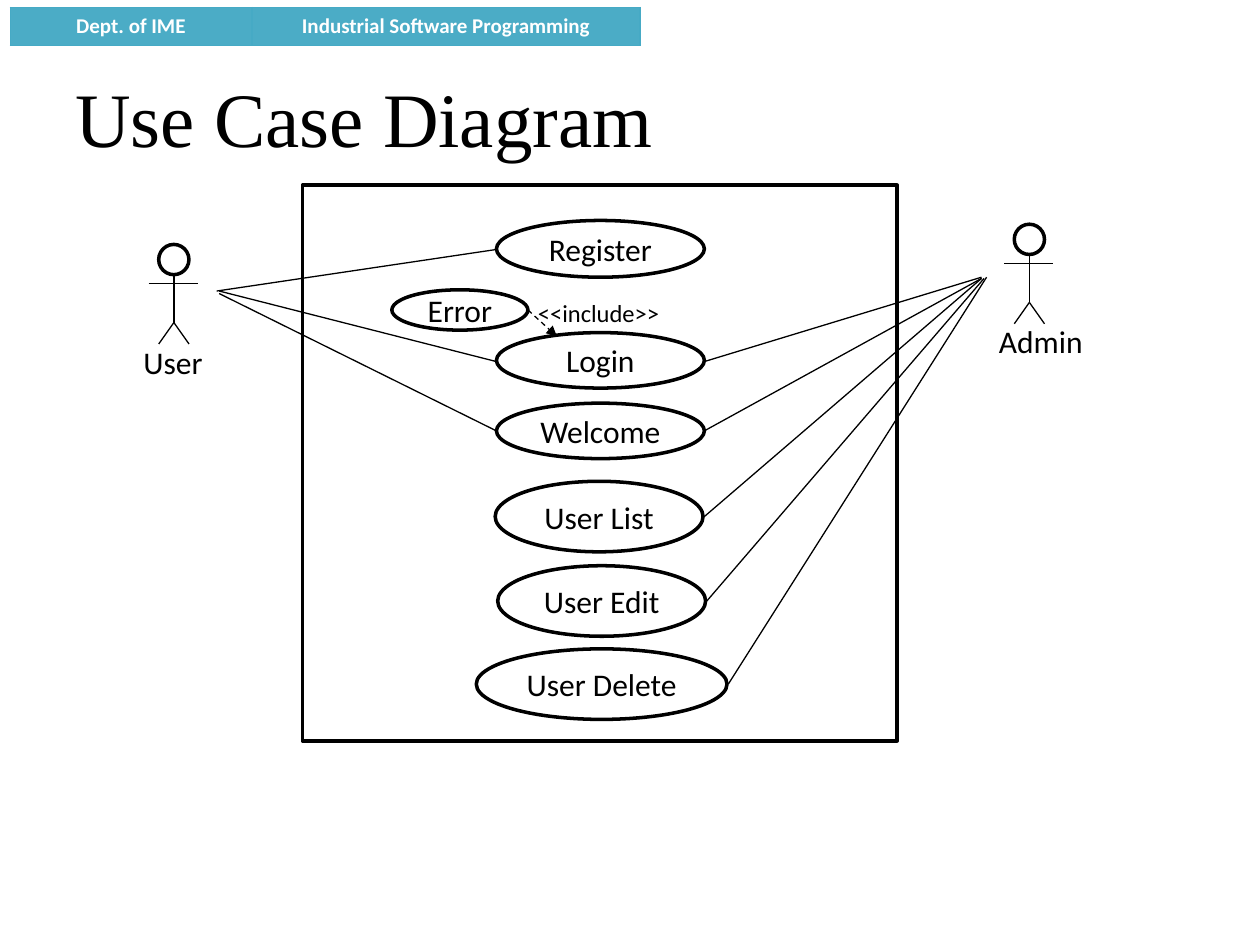
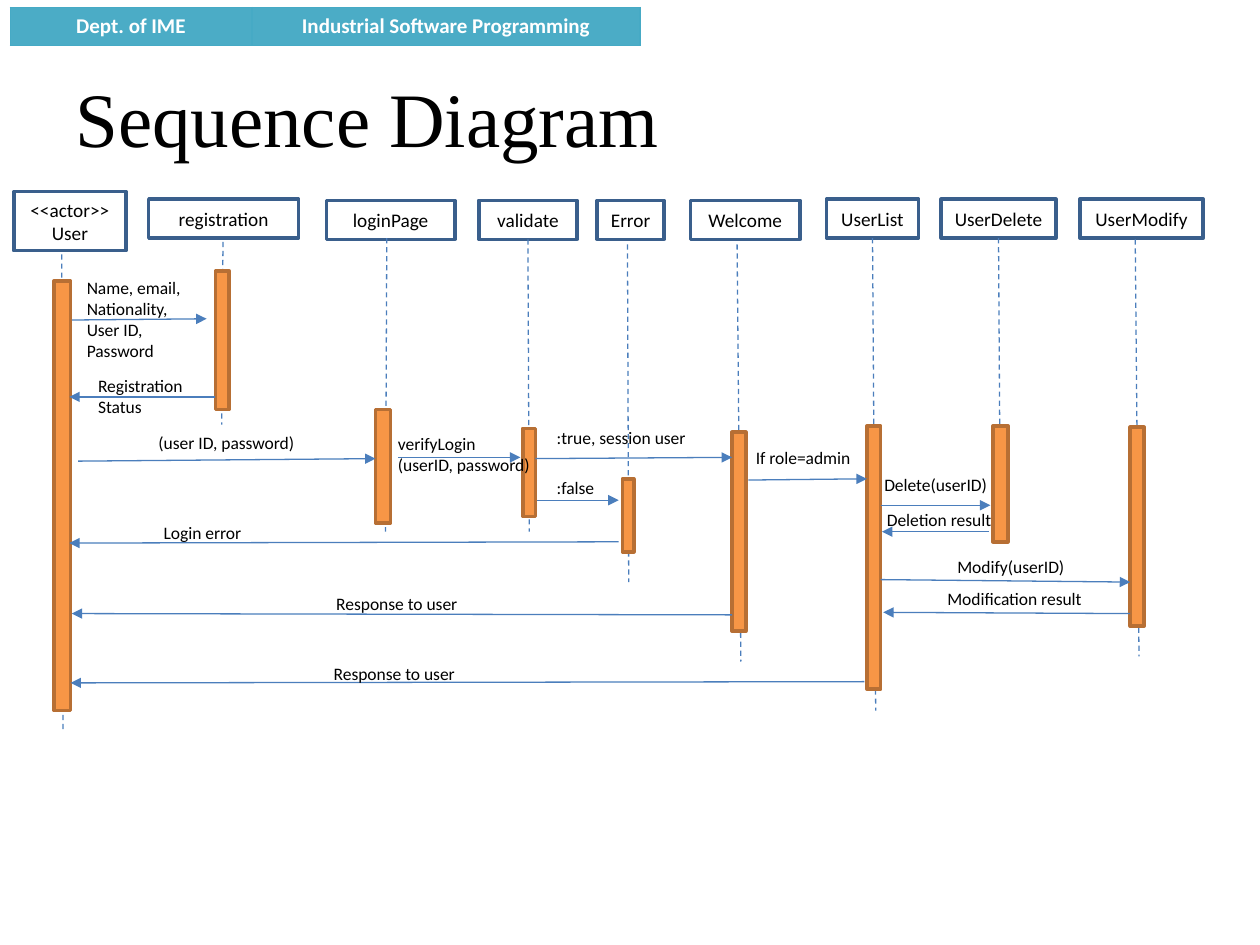
from dataclasses import dataclass

from lxml.etree import SubElement
from pptx import Presentation
from pptx.dml.color import RGBColor
from pptx.enum.dml import MSO_LINE
from pptx.enum.shapes import MSO_CONNECTOR, MSO_SHAPE
from pptx.enum.text import MSO_ANCHOR, MSO_AUTO_SIZE, PP_ALIGN
from pptx.oxml import parse_xml
from pptx.oxml.ns import nsdecls, qn
from pptx.util import Pt

EMU_PER_PX = 9144
BOTTOM = 2


@dataclass(frozen=True)
class Theme:
    ink: str = "000000"
    paper: str = "FFFFFF"
    band: str = "4BACC6"
    band_edge: str = "46AAC5"
    header_edge: str = "3A5F8C"
    message: str = "4B7EBC"
    bar: str = "F79646"
    bar_edge: str = "B76F34"
    title_font: str = "Times New Roman"
    body_font: str = "Calibri"
    title_size: int = 44
    case_size: int = 18
    include_size: int = 14
    band_size: int = 12
    header_size: int = 11
    message_size: int = 10
    outline: float = 2
    hairline: float = 0.75


THEME = Theme()

ACTORS = [
    ("User", 138, 194, (104, 267, 68, 40)),
    ("Admin", 817, 178, (783, 251, 87, 40)),
]

USE_CASES = [
    ("Register", (394, 175, 165, 45)),
    ("Login", (394, 264, 165, 44)),
    ("Error", (311, 230, 108, 32)),
    ("Welcome", (394, 320, 165, 44)),
    ("User List", (393, 382, 165, 56)),
    ("User Edit", (395, 449, 165, 56)),
    ("User Delete", (378, 515, 199, 56)),
]

ASSOCIATIONS = [
    ((172, 231), (394, 198)),
    ((174, 231), (394, 287)),
    ((174, 233), (394, 342)),
    ((559, 287), (779, 220)),
    ((559, 342), (779, 221)),
    ((559, 410), (779, 221)),
    ((561, 477), (781, 221)),
    ((578, 543), (783, 220)),
]

PARTICIPANTS = [
    ("<<actor>>\nUser", (11, 152, 89, 47), (49, 202), (50, 580), (43, 223, 13, 341)),
    ("registration", (118, 158, 119, 31), (177, 192), (176, 337), (171, 215, 11, 110)),
    ("loginPage", (259, 159, 102, 31), (307, 189), (306, 422), (298, 325, 12, 90)),
    ("validate", (380, 159, 78, 31), (419, 190), (420, 422), (415, 340, 10, 70)),
    ("Error", (474, 159, 53, 31), (498, 194), (499, 462), (494, 380, 9, 58)),
    ("Welcome", (548, 159, 87, 31), (585, 194), (588, 525), (581, 343, 11, 158)),
    ("UserList", (656, 158, 73, 31), (692, 189), (695, 564), (688, 338, 11, 209)),
    ("UserDelete", (747, 158, 91, 31), (792, 189), (794, 430), (788, 338, 12, 92)),
    ("UserModify", (857, 158, 98, 31), (901, 190), (904, 521), (897, 339, 11, 158)),
]

MESSAGES = [
    ("Name, email,\nNationality,\nUser ID,\nPassword", (59, 215, 99, 77), (57, 254), (164, 253)),
    ("Registration\nStatus", (68, 293, 92, 44), (171, 315), (55, 315)),
    ("(user ID, password)", (116, 338, 130, 27), (62, 366), (298, 364)),
    ("verifyLogin\n(userID, password)", (306, 339, 127, 44), (316, 363), (413, 363)),
    (":true, session user", (432, 334, 124, 27), (425, 364), (581, 363)),
    (":false", (432, 374, 50, 27), (426, 397), (491, 397)),
    ("Login error", (120, 409, 83, 27), (491, 430), (55, 431)),
    ("Response to user", (257, 466, 119, 27), (581, 488), (57, 487)),
    ("If role=admin", (590, 350, 96, 27), (594, 381), (688, 380)),
    ("Delete(userID)", (692, 371, 103, 27), (699, 401), (786, 401)),
    ("Deletion result", (694, 399, 104, 27), (785, 422), (700, 422)),
    ("Modify(userID)", (750, 436, 106, 27), (699, 460), (897, 462)),
    ("Modification result", (742, 462, 128, 27), (897, 487), (701, 486)),
    ("Response to user", (255, 521, 119, 27), (686, 541), (56, 542)),
]


def px(*lengths):
    return [length * EMU_PER_PX for length in lengths]


def rgb(code):
    return RGBColor.from_string(code)


def assign(target, values):
    for name, value in values.items():
        setattr(target, name, value)


def write(frame, wording, size, font=THEME.body_font, color=THEME.ink, bold=False,
          align=PP_ALIGN.LEFT, **layout):
    assign(frame, layout)
    frame.text = wording
    for paragraph in frame.paragraphs:
        paragraph.alignment = align
        for run in paragraph.runs:
            assign(run.font, {"name": font, "size": Pt(size), "bold": bold})
            run.font.color.rgb = rgb(color)


def add_caption(slide, wording, place, size):
    caption = slide.shapes.add_textbox(*px(*place))
    write(caption.text_frame, wording, size, word_wrap=False,
          auto_size=MSO_AUTO_SIZE.SHAPE_TO_FIT_TEXT)


def add_outlined(shapes, preset, place, edge, fill=None, wording="", size=THEME.case_size):
    figure = shapes.add_shape(preset, *px(*place))
    figure.shadow.inherit = False
    if fill:
        figure.fill.solid()
        figure.fill.fore_color.rgb = rgb(fill)
    else:
        figure.fill.background()
    figure.line.color.rgb = rgb(edge)
    figure.line.width = Pt(THEME.outline)
    if wording:
        write(figure.text_frame, wording, size, align=PP_ALIGN.CENTER, word_wrap=True,
              vertical_anchor=MSO_ANCHOR.MIDDLE, margin_left=0, margin_right=0,
              margin_top=0, margin_bottom=0)
    return figure


def add_line(shapes, start, end, color=THEME.ink, dashed=False, arrow=False):
    link = shapes.add_connector(MSO_CONNECTOR.STRAIGHT, *px(*start, *end))
    link.line.color.rgb = rgb(color)
    link.line.width = Pt(THEME.hairline)
    if dashed:
        link.line.dash_style = MSO_LINE.DASH
    properties = link.element.spPr
    if arrow:
        SubElement(properties.find(qn("a:ln")), qn("a:tailEnd"), type="triangle")
    SubElement(properties, qn("a:effectLst"))
    return link


def add_band(slide):
    band = slide.shapes.add_table(1, 2, *px(8, 6, 500, 30)).table
    assign(band, {"first_row": False, "horz_banding": False})
    band.rows[0].height = px(30)[0]
    sections = [("Dept. of IME", 192), ("Industrial Software Programming", 308)]
    for index, (wording, width) in enumerate(sections):
        band.columns[index].width = px(width)[0]
        cell = band.cell(0, index)
        cell.vertical_anchor = MSO_ANCHOR.MIDDLE
        cell.fill.solid()
        cell.fill.fore_color.rgb = rgb(THEME.band)
        write(cell.text_frame, wording, THEME.band_size, color=THEME.paper, bold=True,
              align=PP_ALIGN.CENTER)
        properties = cell._tc.get_or_add_tcPr()
        for position, side in enumerate("LRTB"):
            properties.insert(position, parse_xml(
                f'<a:ln{side} {nsdecls("a")} w="{Pt(THEME.hairline)}"><a:solidFill>'
                f'<a:srgbClr val="{THEME.band_edge}"/></a:solidFill></a:ln{side}>'))


def add_titled_slide(deck, title):
    slide = deck.slides.add_slide(deck.slide_layouts[6])
    add_band(slide)
    heading = slide.shapes.add_textbox(*px(50, 30, 900, 125))
    write(heading.text_frame, title, THEME.title_size, THEME.title_font, word_wrap=True,
          vertical_anchor=MSO_ANCHOR.MIDDLE)
    return slide


def add_actor(slide, name, center, top, name_place):
    body = slide.shapes.add_group_shape().shapes
    add_outlined(body, MSO_SHAPE.OVAL, (center - 12, top, 24, 24), THEME.ink, THEME.paper)
    hip = (center, top + 62)
    add_line(body, (center, top + 24), hip)
    for foot in (center - 12, center + 12):
        add_line(body, hip, (foot, top + 79))
    add_line(body, (center - 20, top + 31), (center + 19, top + 31))
    add_caption(slide, name, name_place, THEME.case_size)


def meets_bottom(place, point):
    left, top, width, height = place
    return abs(left + width / 2 - point[0]) < 1 and top + height == point[1]


def add_participant(slide, name, header_place, start, end, bar_place):
    header = add_outlined(slide.shapes, MSO_SHAPE.RECTANGLE, header_place,
                          THEME.header_edge, wording=name, size=THEME.header_size)
    lifeline = add_line(slide.shapes, start, end, THEME.message, dashed=True)
    bar = add_outlined(slide.shapes, MSO_SHAPE.RECTANGLE, bar_place,
                       THEME.bar_edge, THEME.bar)
    if meets_bottom(header_place, start):
        lifeline.begin_connect(header, BOTTOM)
    if meets_bottom(bar_place, end):
        lifeline.end_connect(bar, BOTTOM)


def build_use_cases(deck):
    slide = add_titled_slide(deck, "Use Case Diagram")
    for actor in ACTORS:
        add_actor(slide, *actor)
    add_outlined(slide.shapes, MSO_SHAPE.RECTANGLE, (240, 147, 472, 441), THEME.ink)
    for name, place in USE_CASES:
        add_outlined(slide.shapes, MSO_SHAPE.OVAL, place, THEME.ink, THEME.paper, name)
    for start, end in ASSOCIATIONS:
        add_line(slide.shapes, start, end)
    add_line(slide.shapes, (419, 246), (442, 267), dashed=True, arrow=True)
    add_caption(slide, "<<include>>", (417, 232, 118, 34), THEME.include_size)


def build_sequence(deck):
    slide = add_titled_slide(deck, "Sequence Diagram")
    for participant in PARTICIPANTS:
        add_participant(slide, *participant)
    for wording, place, start, end in MESSAGES:
        add_line(slide.shapes, start, end, THEME.message, arrow=True)
        add_caption(slide, wording, place, THEME.message_size)


def main():
    deck = Presentation()
    width, height = px(1000, 750)
    assign(deck, {"slide_width": width, "slide_height": height})
    build_use_cases(deck)
    build_sequence(deck)
    deck.save("out.pptx")


if __name__ == "__main__":
    main()
